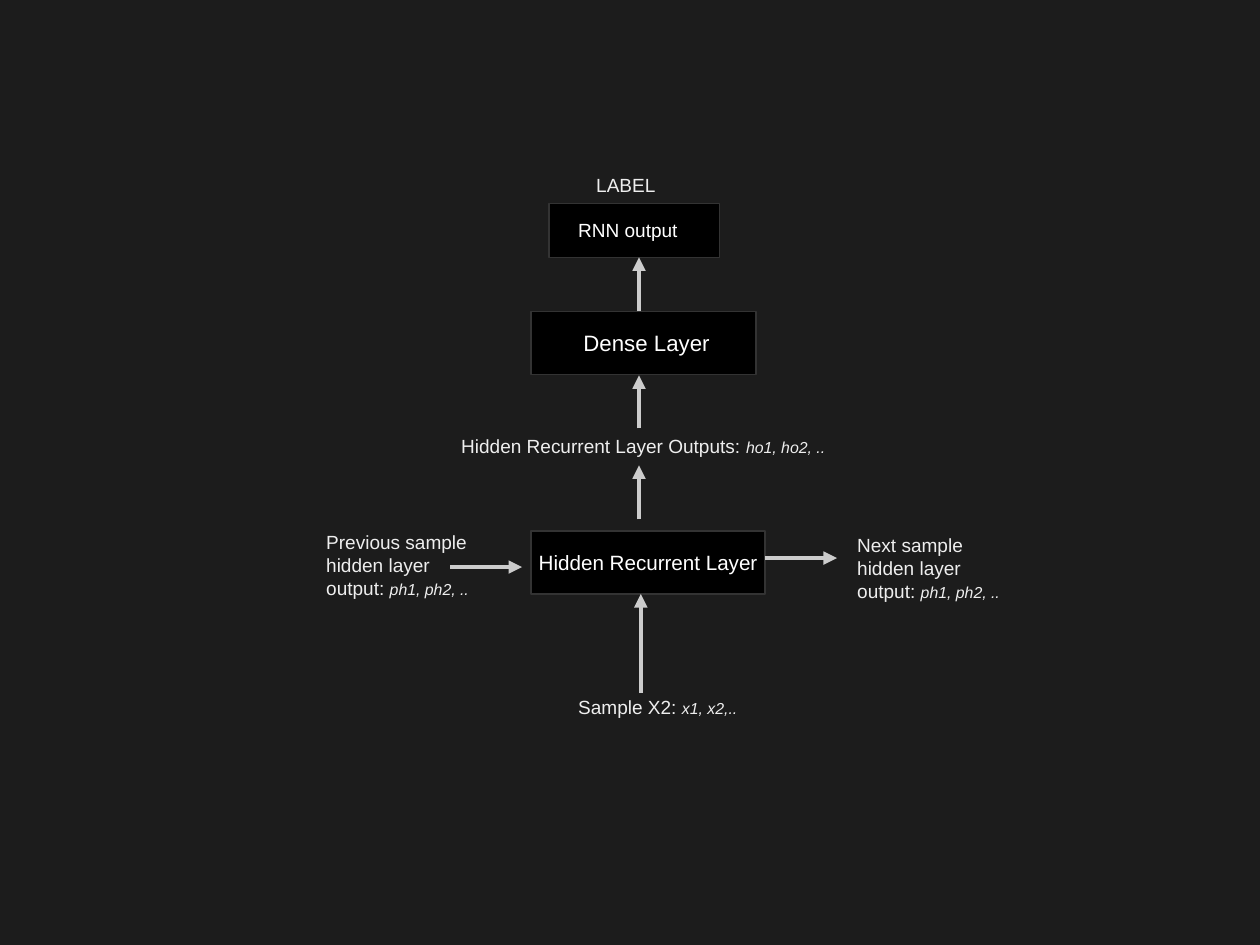
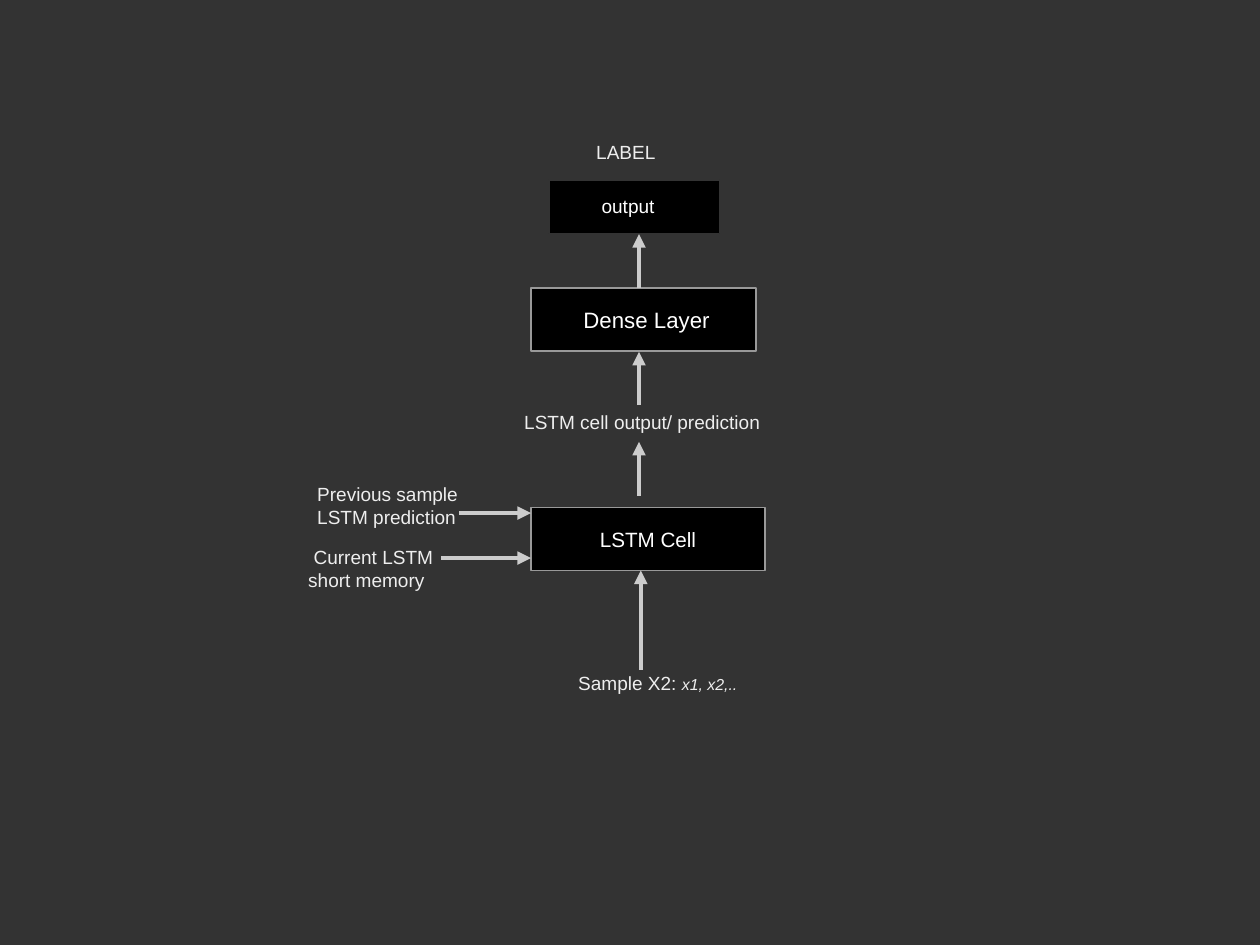
from dataclasses import dataclass

from lxml.etree import SubElement
from pptx import Presentation
from pptx.dml.color import RGBColor
from pptx.enum.shapes import MSO_CONNECTOR, MSO_SHAPE
from pptx.enum.text import MSO_ANCHOR, PP_ALIGN
from pptx.oxml.ns import qn
from pptx.slide import Slide
from pptx.text.text import TextFrame
from pptx.util import Emu, Pt

EMU_PER_PX = 7200  # 50 px to the centimetre


def px(length: int) -> Emu:
    return Emu(length * EMU_PER_PX)


@dataclass(frozen=True)
class Theme:
    font: str = "Arial"
    box_fill: str = "000000"
    dim_edge: str = "333333"
    bright_edge: str = "999999"
    box_text: str = "FFFFFF"
    label_text: str = "EEEEEE"
    arrow: str = "CCCCCC"
    arrow_width: float = 2.83
    label_size: int = 12
    detail_size: int = 10
    cell_size: int = 13
    dense_size: int = 14


THEME = Theme()


@dataclass(frozen=True)
class Box:
    left: int
    top: int
    width: int
    height: int
    edge: str
    text: str = ""
    size: int = THEME.label_size
    inset: int = 0
    preset: MSO_SHAPE = MSO_SHAPE.FLOWCHART_PROCESS


@dataclass(frozen=True)
class Label:
    text: str
    left: int
    top: int
    width: int = 200
    height: int = 84
    detail: str = ""
    indent: int = 0
    text_color: str = THEME.label_text


@dataclass(frozen=True)
class Arrow:
    from_x: int
    from_y: int
    to_x: int
    to_y: int


@dataclass(frozen=True)
class Network:
    """One slide: a stack of layers from sample to label, with side inputs and outputs."""
    background: str
    rise: int  # how far the whole stack is moved up
    edge: str
    cell: str
    output: Label
    cell_output: Label
    label: Label
    side_labels: tuple[Label, ...]
    side_arrows: tuple[Arrow, ...]


NETWORKS = (
    Network(
        background="1C1C1C", rise=0, edge=THEME.dim_edge,
        cell="Hidden Recurrent Layer",
        output=Label("RNN output", 630, 236, height=39, text_color=THEME.box_text),
        cell_output=Label("Hidden Recurrent Layer Outputs: ", 500, 476, 460,
                          detail="ho1, ho2, .."),
        label=Label("LABEL", 650, 187),
        side_labels=(
            Label("Previous sample hidden layer output: ", 350, 583, detail="ph1, ph2, .."),
            Label("Next sample hidden layer output: ", 940, 587, detail="ph1, ph2, .."),
        ),
        side_arrows=(Arrow(500, 630, 580, 630), Arrow(850, 620, 930, 620)),
    ),
    Network(
        background="333333", rise=26, edge=THEME.bright_edge,
        cell="LSTM Cell",
        output=Label("output", 650, 210, height=39, indent=6, text_color=THEME.box_text),
        cell_output=Label("LSTM cell output/ prediction", 570, 450, 310, 39),
        label=Label("LABEL", 650, 150, 110, 39),
        side_labels=(
            Label("Previous sample LSTM prediction", 340, 530, height=60),
            Label("Current LSTM short memory", 330, 600, height=60, indent=6),
        ),
        side_arrows=(Arrow(510, 570, 590, 570), Arrow(490, 620, 590, 620)),
    ),
)


def color(value: str) -> RGBColor:
    return RGBColor.from_string(value)


def write_text(frame: TextFrame, text: str, *, size: int, text_color: str,
               detail: str = "", indent: int = 0,
               alignment: PP_ALIGN = PP_ALIGN.LEFT) -> None:
    """Write text, then an optional smaller italic detail, in one paragraph."""
    frame.word_wrap = True
    paragraph = frame.paragraphs[0]
    paragraph.alignment = alignment
    if indent:
        paragraph._p.get_or_add_pPr().set("indent", str(px(indent)))
    parts = [(text, size, False)]
    if detail:
        parts.append((detail, THEME.detail_size, True))
    for words, points, italic in parts:
        run = paragraph.add_run()
        run.text = words
        run.font.name = THEME.font
        run.font.size = Pt(points)
        run.font.italic = italic
        run.font.color.rgb = color(text_color)


def draw_box(slide: Slide, box: Box) -> None:
    shape = slide.shapes.add_shape(
        box.preset, px(box.left), px(box.top), px(box.width), px(box.height))
    shape.shadow.inherit = False
    shape.fill.solid()
    shape.fill.fore_color.rgb = color(THEME.box_fill)
    shape.line.color.rgb = color(box.edge)
    shape.line.width = Pt(0)
    if box.text:
        frame = shape.text_frame
        frame.vertical_anchor = MSO_ANCHOR.MIDDLE
        frame.margin_left = px(box.inset)
        frame.margin_right = px(0)
        write_text(frame, box.text, size=box.size, text_color=THEME.box_text,
                   alignment=PP_ALIGN.CENTER)


def draw_label(slide: Slide, label: Label) -> None:
    text_box = slide.shapes.add_textbox(
        px(label.left), px(label.top), px(label.width), px(label.height))
    write_text(text_box.text_frame, label.text, size=THEME.label_size,
               text_color=label.text_color, detail=label.detail, indent=label.indent)


def draw_arrow(slide: Slide, arrow: Arrow) -> None:
    connector = slide.shapes.add_connector(
        MSO_CONNECTOR.STRAIGHT, px(arrow.from_x), px(arrow.from_y),
        px(arrow.to_x), px(arrow.to_y))
    connector.line.color.rgb = color(THEME.arrow)
    connector.line.width = Pt(THEME.arrow_width)
    SubElement(connector.line._get_or_add_ln(), qn("a:tailEnd"), type="triangle")
    SubElement(connector._element.spPr, qn("a:effectLst"))


def draw_network(slide: Slide, network: Network) -> None:
    slide.background.fill.solid()
    slide.background.fill.fore_color.rgb = color(network.background)
    rise = network.rise
    boxes = (
        Box(610, 226 - rise, 190, 60, THEME.dim_edge, preset=MSO_SHAPE.RECTANGLE),
        Box(590, 346 - rise, 250, 70, network.edge, "Dense Layer",
            THEME.dense_size, inset=7),
        Box(590, 590 - rise, 260, 70, network.edge, network.cell, THEME.cell_size),
    )
    flow = ((712, 770, 660), (710, 577, 517), (710, 476, 417), (710, 346, 286))
    arrows = [Arrow(x, start - rise, x, end - rise) for x, start, end in flow]
    sample = Label("Sample X2: ", 630, 766 - rise, 230, detail="x1, x2,..")
    labels = (network.output, network.label, network.cell_output, sample)
    for box in boxes:
        draw_box(slide, box)
    for arrow in (*arrows, *network.side_arrows):
        draw_arrow(slide, arrow)
    for label in (*labels, *network.side_labels):
        draw_label(slide, label)


def main() -> None:
    presentation = Presentation()
    presentation.slide_width = px(1400)
    presentation.slide_height = px(1050)
    blank_layout = presentation.slide_layouts[6]
    for network in NETWORKS:
        draw_network(presentation.slides.add_slide(blank_layout), network)
    presentation.save("out.pptx")


if __name__ == "__main__":
    main()
